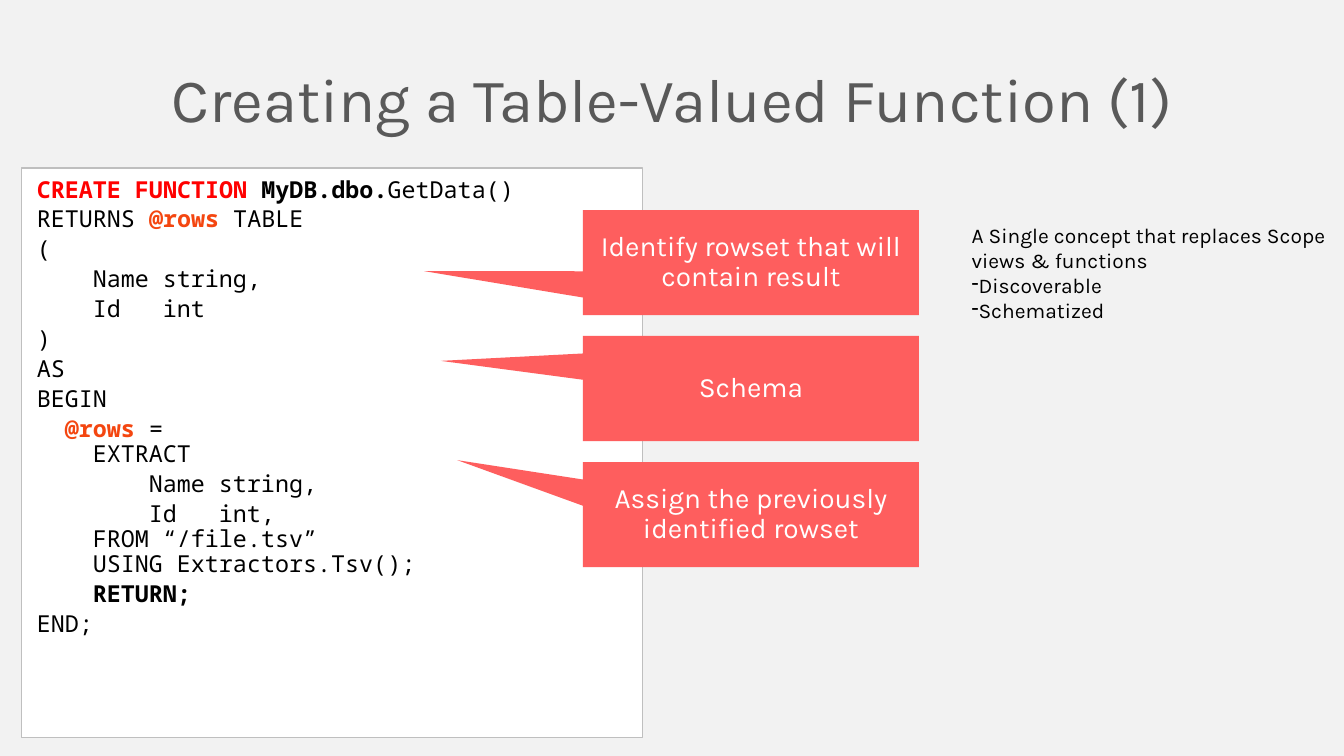
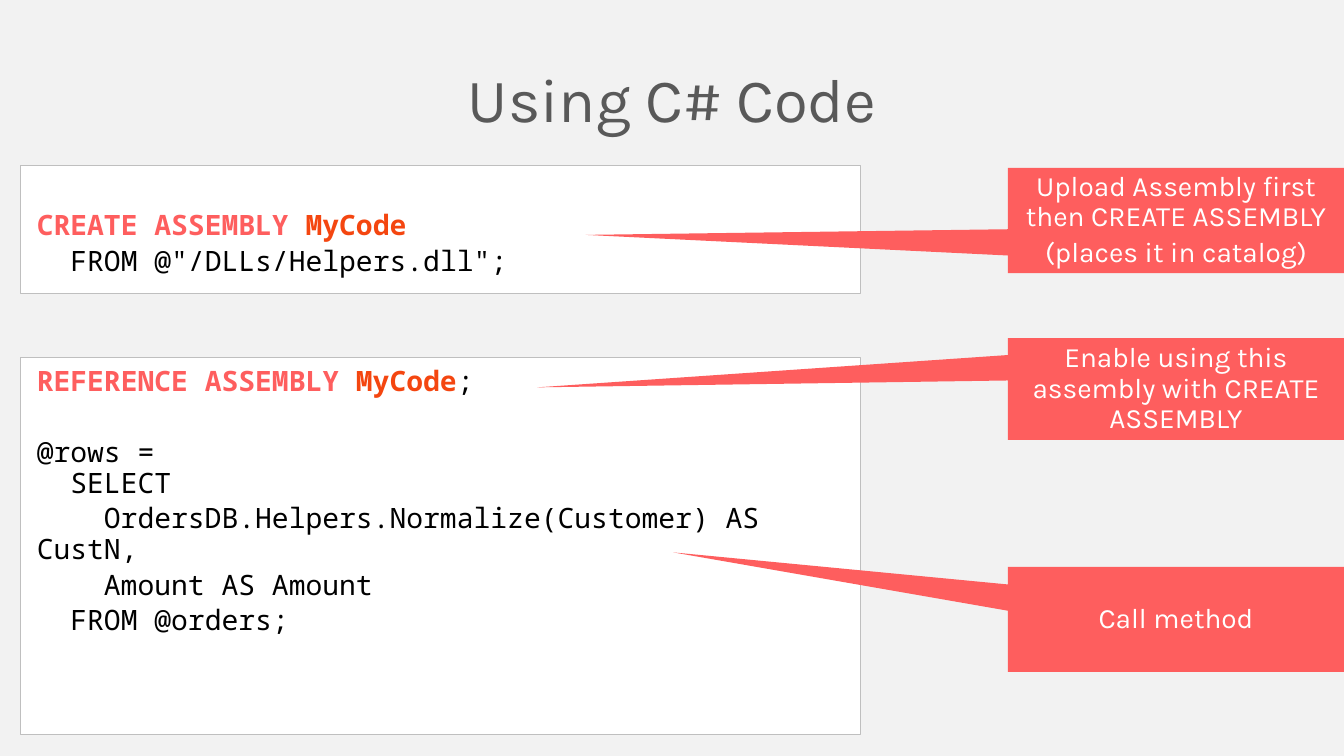
from lxml import etree
from pptx import Presentation
from pptx.dml.color import RGBColor
from pptx.enum.shapes import MSO_SHAPE
from pptx.enum.text import MSO_ANCHOR, PP_ALIGN
from pptx.oxml.ns import qn
from pptx.util import Inches, Pt

RECTANGLE = MSO_SHAPE.RECTANGLE
CALLOUT = MSO_SHAPE.RECTANGULAR_CALLOUT
TOP, MIDDLE = MSO_ANCHOR.TOP, MSO_ANCHOR.MIDDLE
LEFT, CENTER = PP_ALIGN.LEFT, PP_ALIGN.CENTER

COLORS = {
    "ground": "F2F2F2",
    "title": "595959",
    "panel": "FFFFFF",
    "border": "BFBFBF",
    "accent": "FE5E5E",
    "keyword": "FF0000",
    "name": "F44610",
    "text": "000000",
    "light": "FFFFFF",
}
SANS, MONO = "Karla", "Noto Sans Mono"
WIDTH, HEIGHT = 13.6, 7.65
COLUMNS = 64
UNIT = WIDTH / COLUMNS
GAP = 0.2
CHARACTER = 0.6


def color(key):
    """Look up a named colour."""
    return RGBColor.from_string(COLORS[key])


class Deck:
    """Hold the shared style and the current slide."""

    def __init__(self):
        self.deck = Presentation()
        self.deck.slide_width = Inches(WIDTH)
        self.deck.slide_height = Inches(HEIGHT)
        self.blank = self.deck.slide_layouts[6]
        fill = self.deck.slide_master.background.fill
        fill.solid()
        fill.fore_color.rgb = color("ground")
        self.page = None

    def place(self, cells):
        """Turn grid cells into lengths."""
        return [Inches(cell * UNIT) for cell in cells]

    def frame(self, box, anchor, insets=(0.1, 0.05), top_gap=0):
        """Set up the text frame of a box."""
        frame = box.text_frame
        frame.word_wrap = True
        frame.vertical_anchor = anchor
        frame.margin_left = frame.margin_right = Inches(insets[0])
        frame.margin_top = Inches(insets[1] + top_gap)
        frame.margin_bottom = Inches(insets[1])
        return frame

    def para(self, frame, index, align=LEFT, spacing=0.9, before=0):
        """Return the paragraph at an index, spaced and aligned."""
        para = frame.add_paragraph() if index else frame.paragraphs[0]
        para.alignment = align
        para.line_spacing = spacing
        para.space_before = Pt(before)
        return para

    def span(self, para, text, size, key, font=SANS, bold=False):
        """Add one run of text."""
        span = para.add_run()
        span.text = text
        span.font.size = Pt(size)
        span.font.name = font
        span.font.bold = bold
        span.font.color.rgb = color(key)

    def shape(self, kind, cells, fill, border=None):
        """Add a flat preset shape."""
        box = self.page.shapes.add_shape(kind, *self.place(cells))
        box.shadow.inherit = False
        box.fill.solid()
        box.fill.fore_color.rgb = color(fill)
        if border:
            box.line.color.rgb = color(border)
            box.line.width = Pt(0.75)
        else:
            box.line.fill.background()
        return box

    def start(self, title):
        """Begin a slide with its title."""
        self.page = self.deck.slides.add_slide(self.blank)
        box = self.page.shapes.add_textbox(*self.place((1, 1, COLUMNS - 2, 7.8)))
        para = self.para(self.frame(box, MIDDLE), 0, CENTER)
        self.span(para, title, 44.9, "title")

    def code(self, cells, size, lines, top_gap=0):
        """Add a code panel from lines of indent, gap and runs."""
        box = self.shape(RECTANGLE, cells, "panel", "border")
        frame = self.frame(box, TOP, (0.16, 0.1), top_gap)
        for index, (indent, gap, *runs) in enumerate(lines):
            para = self.para(frame, index, before=gap * size)
            properties = para._p.get_or_add_pPr()
            properties.set("marL", "0")
            properties.set("indent", str(int(Pt(indent * CHARACTER * size))))
            for text, key, bold in runs:
                self.span(para, text, size, key, MONO, bold)

    def callout(self, cells, tip, *texts):
        """Add a callout whose tip is a share of its size from its centre."""
        box = self.shape(CALLOUT, cells, "accent")
        box.adjustments[0], box.adjustments[1] = tip
        frame = self.frame(box, MIDDLE, (0.16, 0.1))
        for index, text in enumerate(texts):
            para = self.para(frame, index, CENTER, before=GAP * 20.4)
            self.span(para, text, 20.4, "light")

    def aside(self, cells, lead, items):
        """Add a lead sentence with dashed items below."""
        box = self.page.shapes.add_textbox(*self.place(cells))
        frame = self.frame(box, TOP)
        for index, text in enumerate((lead, *items)):
            para = self.para(frame, index, spacing=1.0)
            if index:
                properties = para._p.get_or_add_pPr()
                etree.SubElement(properties, qn("a:buChar")).set("char", "-")
            self.span(para, text, 15.3, "text")


def plain(text, indent=0, gap=GAP):
    """Describe a code line of one plain run."""
    return indent, gap, (text, "text", False)


def function_slide(deck):
    """Build the slide on table-valued functions."""
    deck.start("Creating a Table-Valued Function (1)")
    deck.code((1, 8, 29.6, 27.1), 17, [
        (0, GAP, ("CREATE FUNCTION ", "keyword", True),
         ("MyDB.dbo.", "text", True), ("GetData()", "text", False)),
        (0, GAP, ("RETURNS ", "text", False), ("@rows ", "name", True),
         ("TABLE", "text", False)),
        plain("("),
        plain("Name string,", 4),
        plain("Id   int", 4),
        plain(")"),
        plain("AS"),
        plain("BEGIN"),
        (2, GAP, ("@rows ", "name", True), ("=", "text", False)),
        plain("EXTRACT", 4, 0),
        plain("Name string,", 8),
        plain("Id   int,", 8),
        plain("FROM “/file.tsv”", 4, 0),
        plain("USING Extractors.Tsv();", 4, 0),
        (4, GAP, ("RETURN;", "text", True)),
        plain("END;"),
    ])
    notes = [
        ((-0.973, 0.082), "Identify rowset that will contain result"),
        ((-0.923, -0.263), "Schema"),
        ((-0.874, -0.518), "Assign the previously identified rowset"),
    ]
    for index, (tip, text) in enumerate(notes):
        deck.callout((27.76, 10 + 6 * index, 16, 5), tip, text)
    deck.aside((45.8, 10.35, 19, 6.55),
               "A Single concept that replaces Scope views & functions",
               ("Discoverable", "Schematized"))


def assembly_slide(deck):
    """Build the slide on calling C# code."""
    deck.start("Using C# Code")
    deck.code((1, 7.9, 40, 6.07), 20.4, [
        (0, GAP, ("CREATE ASSEMBLY ", "accent", True), ("MyCode", "name", True)),
        plain("FROM @\"/DLLs/Helpers.dll\";", 2),
    ], top_gap=0.36)
    deck.code((1, 17, 40, 18), 20.4, [
        (0, GAP, ("REFERENCE ASSEMBLY ", "accent", True),
         ("MyCode", "name", True), (";", "text", False)),
        plain("@rows =", gap=1.48),
        plain("SELECT", 2, 0),
        plain("OrdersDB.Helpers.Normalize(Customer) AS CustN,", 4),
        plain("Amount AS Amount", 4),
        plain("FROM @orders;", 2),
    ])
    notes = [
        (8, 5, (-1.757, 0.137),
         ("Upload Assembly first then CREATE ASSEMBLY", "(places it in catalog)")),
        (16.1, 4.85, (-1.901, -0.016),
         ("Enable using this assembly with CREATE ASSEMBLY",)),
        (27, 5, (-1.496, -0.639), ("Call method",)),
    ]
    for row, rows, tip, texts in notes:
        deck.callout((48, row, 16, rows), tip, *texts)


def main():
    """Build and save the deck."""
    deck = Deck()
    function_slide(deck)
    assembly_slide(deck)
    deck.deck.save("out.pptx")


if __name__ == "__main__":
    main()
